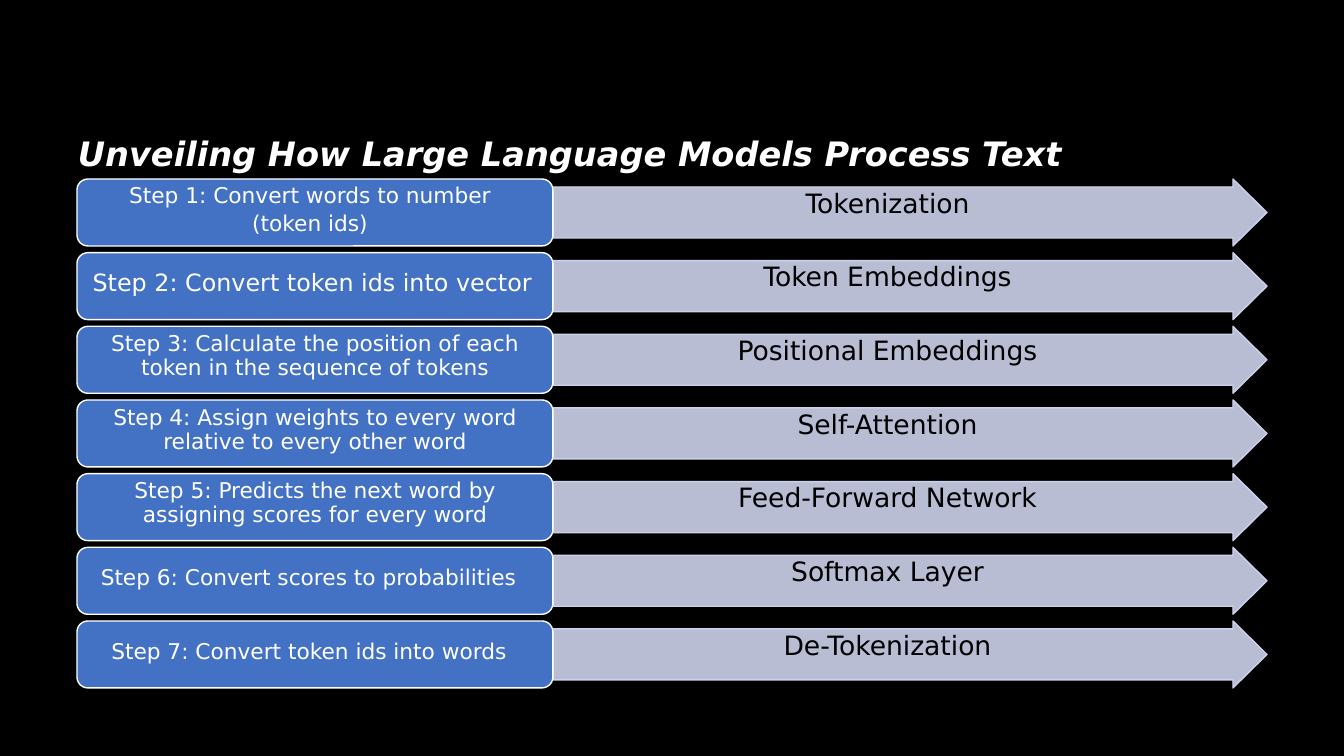
from pptx import Presentation
from pptx.dml.color import RGBColor
from pptx.enum.shapes import MSO_SHAPE as Kind
from pptx.enum.text import MSO_ANCHOR as Anchor, PP_ALIGN as Align
from pptx.oxml.ns import qn
from pptx.util import Pt
from lxml.etree import SubElement

TITLE = "Unveiling How Large Language Models Process Text"
# lines in the box, arrow label, text size, line pitch in points,
# right and bottom insets in px
STEPS = [
    (["Step 1: Convert words to number", "(token ids)"],
     "Tokenization", 15.5, 20.6, 10, 10),
    (["Step 2: Convert token ids into vector"],
     "Token Embeddings", 17, None, 5, 9),
    (["Step 3: Calculate the position of each",
      "token in the sequence of tokens"],
     "Positional Embeddings", 15.5, 17.2, 0, 8),
    (["Step 4: Assign weights to every word",
      "relative to every other word"],
     "Self-Attention", 15.5, 17.2, 0, 8),
    (["Step 5: Predicts the next word by",
      "assigning scores for every word"],
     "Feed-Forward Network", 15.5, 17.2, 0, 8),
    (["Step 6: Convert scores to probabilities"],
     "Softmax Layer", 15.5, None, 13, 7),
    (["Step 7: Convert token ids into words"],
     "De-Tokenization", 15.5, None, 12, 7),
]
COLORS = {"back": "000000", "light": "FFFFFF", "dark": "000000",
          "box": "4371C3", "arrow": "CCD2EA"}
FONT = "DejaVu Sans"
PX = 914400 / 100.8
LEFT, MID, RIGHT = 77, 553, 1267
FIRST, LAST, HIGH = 179, 621, 67
HEAD, SHAFT, ROUND = 34, 51, 11


def px(n):
    return round(n * PX)


def rgb(name):
    return RGBColor.from_string(COLORS[name])


def write(shape, lines, size, color, align=Align.CENTER, pitch=None,
          right=0, bottom=0, strong=False):
    """Put the lines into one paragraph, parted by line breaks."""
    frame = shape.text_frame
    frame.word_wrap = True
    frame.vertical_anchor = Anchor.MIDDLE
    frame.margin_left = frame.margin_top = 0
    frame.margin_right, frame.margin_bottom = px(right), px(bottom)
    para = frame.paragraphs[0]
    para.alignment = align
    if pitch:
        para.line_spacing = Pt(pitch)
    for i, line in enumerate(lines):
        if i:
            para.add_line_break()
        run = para.add_run()
        run.text = line
        font = run.font
        font.name, font.size = FONT, Pt(size)
        font.bold = font.italic = strong
        font.color.rgb = rgb(color)


def block(kind, left, top, wide, fill, line):
    shape = slide.shapes.add_shape(kind, px(left), px(top), px(wide), px(HIGH))
    shape.shadow.inherit = False
    shape.fill.solid()
    shape.fill.fore_color.rgb = rgb(fill)
    shape.line.color.rgb = rgb(line)
    shape.line.width = Pt(1)
    return shape


deck = Presentation()
deck.slide_width, deck.slide_height = px(1344), px(756)
slide = deck.slides.add_slide(deck.slide_layouts[6])
slide.background.fill.solid()
slide.background.fill.fore_color.rgb = rgb("back")

title = slide.shapes.add_textbox(px(78), px(134), px(1088), px(39))
write(title, [TITLE], 24, "light", Align.LEFT, strong=True)

step = (LAST - FIRST) / (len(STEPS) - 1)
for i, (lines, label, size, pitch, right, bottom) in enumerate(STEPS):
    top = FIRST + i * step
    arrow = block(Kind.RIGHT_ARROW, MID, top, RIGHT - MID, "arrow", "arrow")
    arrow.adjustments[0] = SHAFT / HIGH
    arrow.adjustments[1] = HEAD / HIGH
    tint = arrow.fill._xPr.find(qn("a:solidFill"))[0]
    SubElement(tint, qn("a:alpha"), val="90000")
    write(arrow, [label], 19, "dark", right=19, bottom=20)

    box = block(Kind.ROUNDED_RECTANGLE, LEFT, top, MID - LEFT, "box", "light")
    box.adjustments[0] = ROUND / HIGH
    write(box, lines, size, "light", pitch=pitch, right=right, bottom=bottom)

deck.save("out.pptx")
